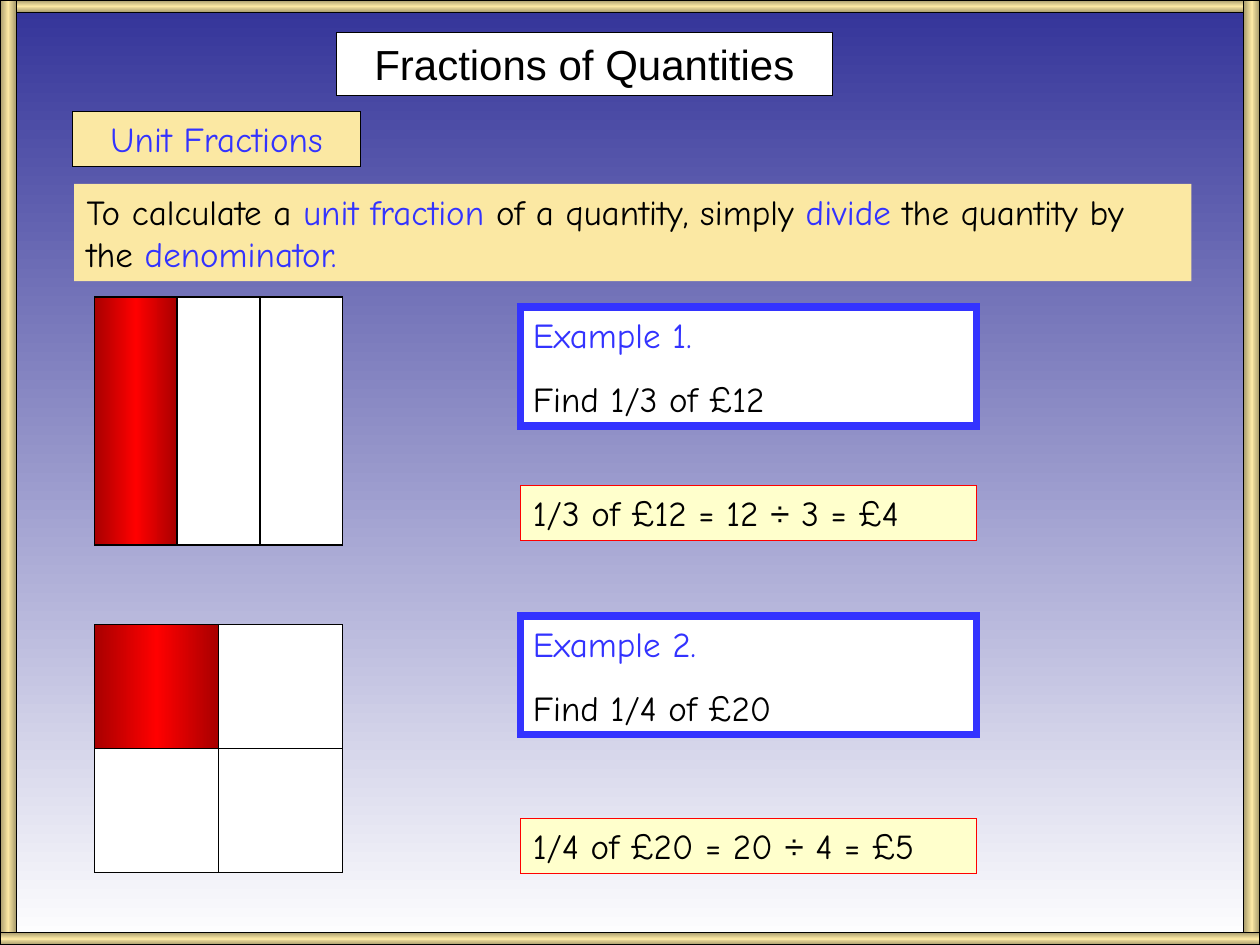
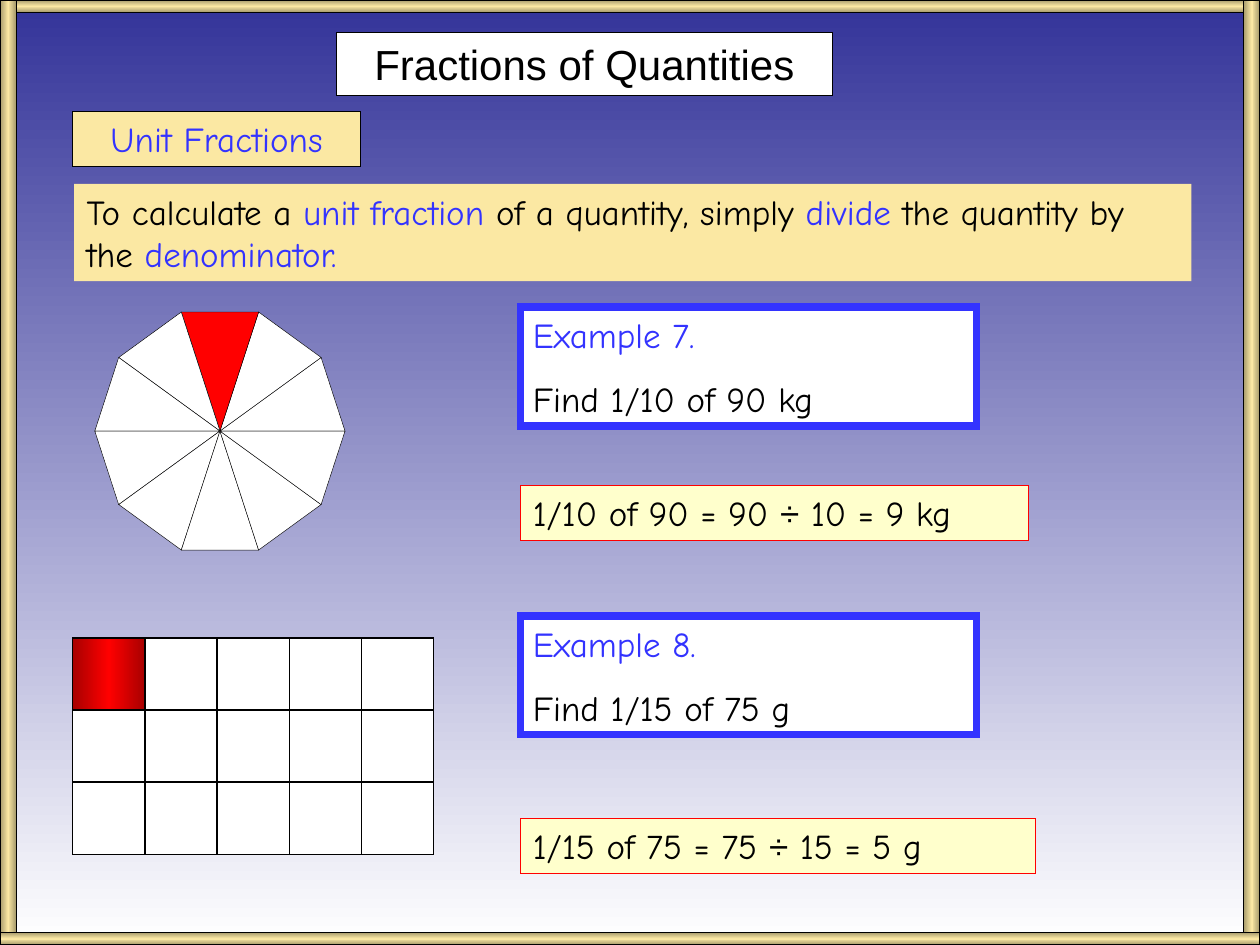
from copy import deepcopy
from dataclasses import dataclass
from math import cos, pi, sin
from typing import NamedTuple

from lxml.etree import SubElement
from pptx import Presentation
from pptx.dml.color import RGBColor
from pptx.enum.shapes import MSO_SHAPE as Preset
from pptx.enum.text import MSO_ANCHOR as Anchor, MSO_AUTO_SIZE as AutoSize, PP_ALIGN as Align
from pptx.oxml.ns import qn
from pptx.util import Pt


@dataclass(frozen=True)
class Theme:
    black: str = "000000"
    white: str = "FFFFFF"
    sky: str = "333399"
    accent: str = "3333FF"
    sand: str = "FBE8A3"
    answer: str = "FFFFCC"
    red: str = "FF0000"
    wood_bar: tuple = ("A5996B", "FBE8A3", "A5996B")
    shaded_cell: tuple = ("A80000", "FF0000", "A80000")
    title_font: str = "Arial"
    body_font: str = "Comic Neue"
    title_size: float = 24
    body_size: float = 20
    paragraph_gap: float = 12.5
    thin: float = 0.75
    hairline: float = 0.25
    thick: float = 4.5


class Box(NamedTuple):
    left: float
    top: float
    width: float
    height: float

    def in_points(self):
        return [Pt(length) for length in self]


class Example(NamedTuple):
    heading: str
    question: str
    answer: str
    answer_width: float


THEME = Theme()
PAGE = Box(0, 0, 720, 540)
TITLE_BOX = Box(192.2, 18.5, 283.5, 36)
TOPIC_BOX = Box(41.6, 63.8, 164.4, 31.5)
RULE_BOX = Box(42.4, 105.1, 638.4, 55.6)
EXAMPLE_LEFT, EXAMPLE_WIDTH, EXAMPLE_HEIGHT = 297.4, 260.6, 67.7
EXAMPLE_TOPS = (175.7, 352.1)
ANSWER_DROPS = (101.7, 115.7)
ANSWER_HEIGHT = 31.5


def set_gradient(shape, colours, angle):
    fill = shape.fill
    fill.gradient()
    fill.gradient_angle = angle
    stop_list = shape._element.spPr.find(qn("a:gradFill")).find(qn("a:gsLst"))
    while len(stop_list) < len(colours):
        stop_list.append(deepcopy(stop_list[0]))
    for index, (stop, colour) in enumerate(zip(fill.gradient_stops, colours)):
        stop.position = index / (len(colours) - 1)
        stop.color.rgb = RGBColor.from_string(colour)


def style_shape(shape, fill, line=THEME.black, weight=THEME.thin, angle=0):
    shape.shadow.inherit = False
    if isinstance(fill, tuple):
        set_gradient(shape, fill, angle)
    else:
        shape.fill.solid()
        shape.fill.fore_color.rgb = RGBColor.from_string(fill)
    if line is None:
        shape.line.fill.background()
        return
    shape.line.color.rgb = RGBColor.from_string(line)
    shape.line.width = Pt(weight)
    SubElement(shape._element.spPr.find(qn("a:ln")), qn("a:miter"), lim="800000")


def add_rectangle(slide, box, fill, **style):
    shape = slide.shapes.add_shape(Preset.RECTANGLE, *box.in_points())
    style_shape(shape, fill, **style)
    return shape


def format_run(run, colour, font=THEME.body_font, size=THEME.body_size):
    run.font.name = font
    run.font.size = Pt(size)
    run.font.color.rgb = RGBColor.from_string(colour)


def prepare_frame(shape):
    frame = shape.text_frame
    frame.word_wrap = True
    frame.auto_size = AutoSize.NONE
    frame.vertical_anchor = Anchor.TOP
    frame.margin_left = frame.margin_right = Pt(7.2)
    frame.margin_top = frame.margin_bottom = Pt(3.6)
    return frame


def write_lines(shape, lines, align=Align.LEFT):
    frame = prepare_frame(shape)
    for index, pieces in enumerate(lines):
        paragraph = frame.add_paragraph() if index else frame.paragraphs[0]
        paragraph.alignment = align
        if index:
            paragraph.space_before = Pt(THEME.paragraph_gap)
        for text, *style in pieces:
            run = paragraph.add_run()
            run.text = text
            format_run(run, *style)


def add_frame(slide, box):
    bar_height, bar_width = 7.2, 9.4
    side_height = box.height - bar_height
    for top in (box.top, box.top + side_height):
        bar = Box(box.left, top, box.width, bar_height)
        add_rectangle(slide, bar, THEME.wood_bar, angle=270)
    for left in (box.left, box.left + box.width - bar_width):
        bar = Box(left, box.top, bar_width, side_height)
        add_rectangle(slide, bar, THEME.wood_bar)


def set_background(slide):
    fill = slide.background.fill
    fill.gradient()
    fill.gradient_angle = 270
    for stop, colour in zip(fill.gradient_stops, (THEME.sky, THEME.white)):
        stop.color.rgb = RGBColor.from_string(colour)


def set_title(slide, box):
    title = slide.shapes.title
    title.left, title.top, title.width, title.height = box.in_points()
    style_shape(title, THEME.white)
    frame = prepare_frame(title)
    frame.text = "Fractions of Quantities"
    paragraph = frame.paragraphs[0]
    paragraph.alignment = Align.CENTER
    format_run(paragraph.runs[0], THEME.black, THEME.title_font, THEME.title_size)


def add_topic(slide, box):
    topic = add_rectangle(slide, box, THEME.sand)
    write_lines(topic, [[("Unit Fractions", THEME.accent)]], Align.CENTER)


def add_rule(slide, box):
    rule = add_rectangle(slide, box, THEME.sand, line=None)
    write_lines(rule, [[
        ("To calculate a ", THEME.black),
        ("unit fraction", THEME.accent),
        (" of a quantity, simply ", THEME.black),
        ("divide", THEME.accent),
        (" the quantity by the ", THEME.black),
        ("denominator.", THEME.accent),
    ]])


def add_example(slide, box, example, answer_drop):
    card = add_rectangle(slide, box, THEME.white, line=THEME.accent, weight=THEME.thick)
    write_lines(card, [[(example.heading, THEME.accent)], [(example.question, THEME.black)]])
    answer_box = Box(box.left, box.top + answer_drop, example.answer_width, ANSWER_HEIGHT)
    answer = add_rectangle(slide, answer_box, THEME.answer, line=THEME.red)
    before, sign, after = example.answer.partition("÷")
    write_lines(answer, [[
        (before, THEME.black),
        (sign, THEME.black, THEME.title_font),
        (after, THEME.black),
    ]])


def add_fraction_grid(slide, box, columns, rows):
    width, height = box.width / columns, box.height / rows
    for index in range(columns * rows):
        row, column = divmod(index, columns)
        cell = Box(box.left + column * width, box.top + row * height, width, height)
        add_rectangle(slide, cell, THEME.white if index else THEME.shaded_cell)


def add_fraction_polygon(slide, box, sides, shaded_slice):
    radius = box.width / 2
    centre_x, centre_y = box.left + radius, box.top + radius

    def corner(index):
        angle = 2 * pi * index / sides
        return Pt(centre_x + radius * cos(angle)), Pt(centre_y - radius * sin(angle))

    for index in range(sides):
        builder = slide.shapes.build_freeform(Pt(centre_x), Pt(centre_y))
        builder.add_line_segments([corner(index), corner(index + 1)], close=True)
        fill = THEME.red if index == shaded_slice else THEME.white
        style_shape(builder.convert_to_shape(), fill, weight=THEME.hairline)


def add_fraction_slide(presentation, diagrams, examples):
    slide = presentation.slides.add_slide(presentation.slide_layouts[5])
    set_background(slide)
    set_title(slide, TITLE_BOX)
    add_topic(slide, TOPIC_BOX)
    add_frame(slide, PAGE)
    add_rule(slide, RULE_BOX)
    for draw, *settings in diagrams:
        draw(slide, *settings)
    for top, drop, example in zip(EXAMPLE_TOPS, ANSWER_DROPS, examples):
        box = Box(EXAMPLE_LEFT, top, EXAMPLE_WIDTH, EXAMPLE_HEIGHT)
        add_example(slide, box, example, drop)


def main():
    presentation = Presentation()
    presentation.slide_width, presentation.slide_height = Pt(PAGE.width), Pt(PAGE.height)
    add_fraction_slide(
        presentation,
        [
            (add_fraction_grid, Box(54, 169.7, 141.8, 141.8), 3, 1),
            (add_fraction_grid, Box(54, 357, 141.8, 141.8), 2, 2),
        ],
        [
            Example("Example 1.", "Find 1/3 of £12", "1/3 of £12 = 12 ÷ 3 = £4", 260.6),
            Example("Example 2.", "Find 1/4 of £20", "1/4 of £20 = 20 ÷ 4 = £5", 260.6),
        ],
    )
    add_fraction_slide(
        presentation,
        [
            (add_fraction_polygon, Box(54.2, 174.8, 143, 143), 10, 2),
            (add_fraction_grid, Box(41.6, 364.5, 206.2, 123.7), 5, 3),
        ],
        [
            Example("Example 7.", "Find 1/10 of 90 kg", "1/10 of 90 = 90 ÷ 10 = 9 kg", 290.2),
            Example("Example 8.", "Find 1/15 of 75 g", "1/15 of 75 = 75 ÷ 15 = 5 g", 294.5),
        ],
    )
    presentation.save("out.pptx")


if __name__ == "__main__":
    main()
